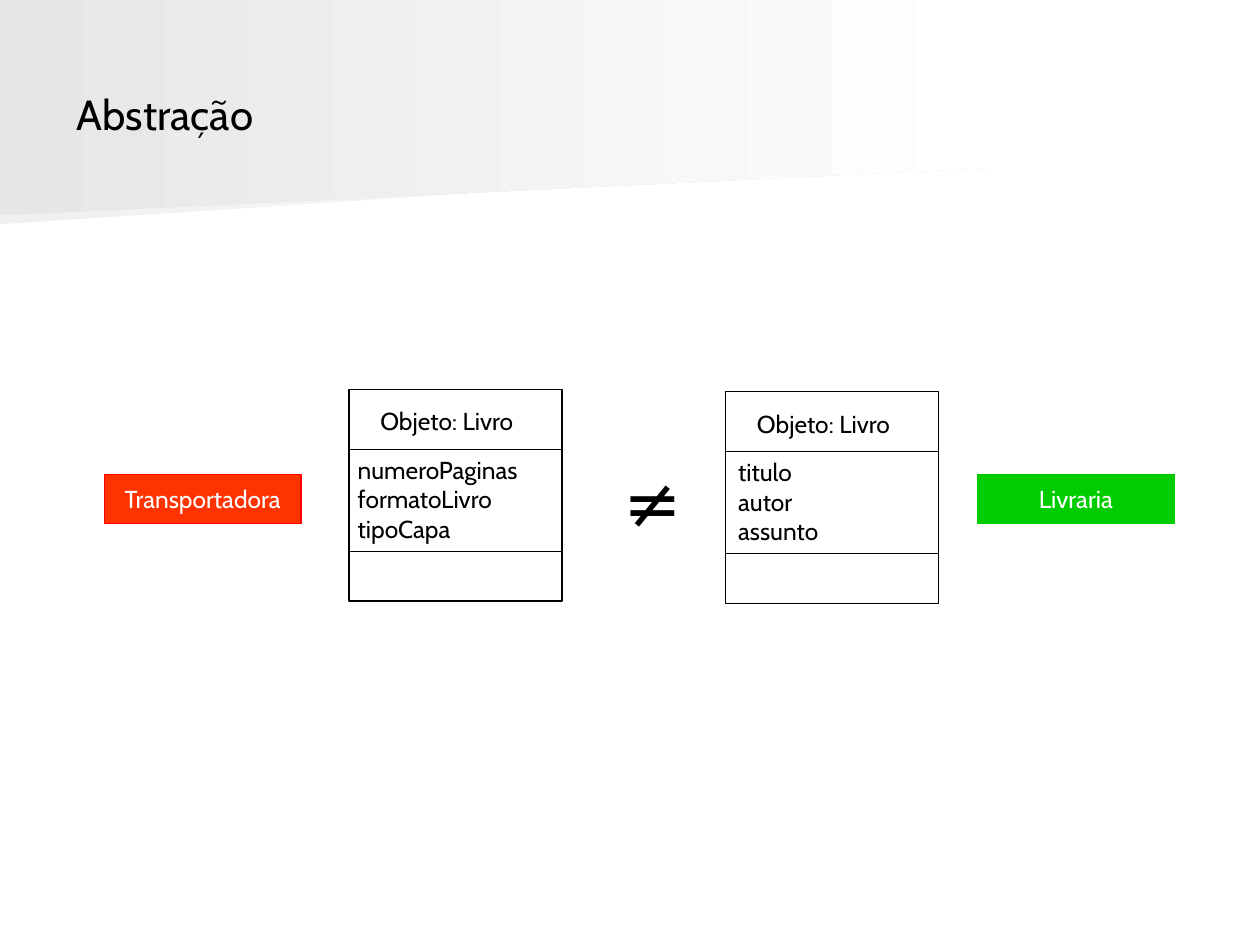
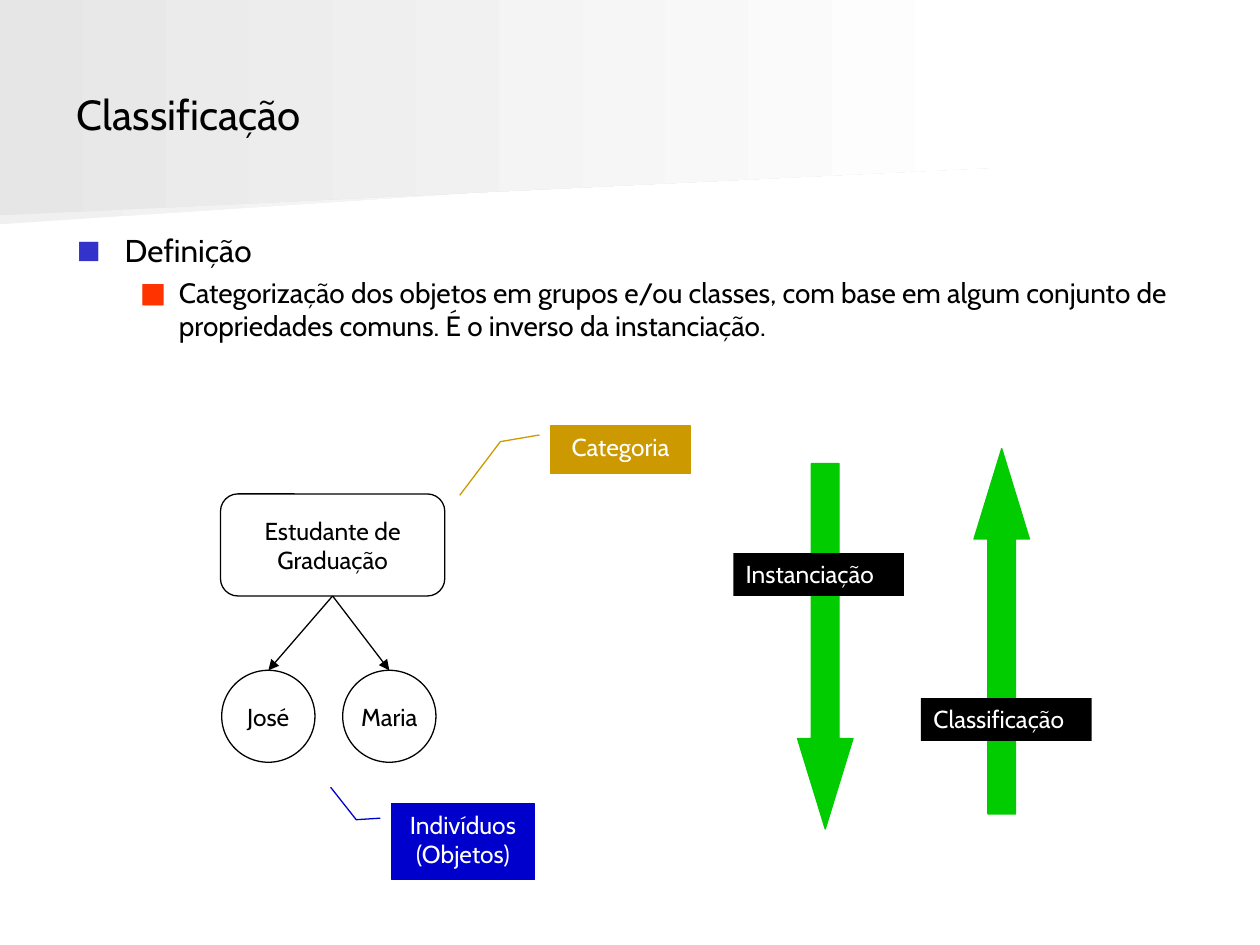
from dataclasses import dataclass

from lxml.etree import SubElement
from pptx import Presentation
from pptx.dml.color import RGBColor
from pptx.enum.shapes import MSO_CONNECTOR, MSO_SHAPE as SHAPE
from pptx.enum.text import MSO_ANCHOR as ANCHOR, MSO_AUTO_SIZE as AUTOSIZE, PP_ALIGN as ALIGN
from pptx.oxml.ns import qn
from pptx.util import Inches, Pt

FONT = "Cabin"
COLORS = {
    "black": "000000", "white": "FFFFFF", "red": "FF3300", "red_line": "FF0000",
    "green": "00CC00", "gold": "CC9900", "blue": "0000CC", "bullet": "3333CC",
    "band_back": "F0F0F0", "band_front": "E6E6E6",
}
# Grid of 100 columns by 75 rows of square cells
COLUMNS, ROWS = 100, 75
CELL = Inches(0.1)
LINE = Pt(0.75)


@dataclass
class Band:
    color: str
    points: list[tuple[float, float]]


@dataclass
class ClassBox:
    left: float
    top: float
    attributes: list[str]
    attr_shift: float
    attr_width: float


@dataclass
class Block:
    """A filled or outlined preset shape, placed in grid cells."""
    kind: SHAPE
    box: tuple[float, float, float, float]
    lines: tuple[str, ...] = ()
    fill: str | None = None
    line: str | None = "black"
    color: str = "white"
    align: ALIGN = ALIGN.CENTER
    anchor: ANCHOR = ANCHOR.MIDDLE
    wrap: bool = False
    adjust: tuple[float, ...] = ()
    rotation: float = 0


@dataclass
class Bullet:
    text: str
    level: int
    size: float
    color: str
    scale: int
    left: float
    hang: float
    before: float


BANDS = [
    Band("band_back", [(77.8, 12.6), (0, 17.8), (0, 8.3), (77.9, 8.3), (77.8, 10.5)]),
    Band("band_front", [(79.2, 13.3), (0, 17.1), (0, 0), (79.2, 0)]),
]


def rgb(name: str) -> RGBColor:
    return RGBColor.from_string(COLORS[name])


def cells(*values: float) -> list[int]:
    return [round(v * CELL) for v in values]


def write(tf, lines, size=14, color="black", align=ALIGN.LEFT,
          anchor=ANCHOR.TOP, wrap=False, auto=AUTOSIZE.NONE) -> None:
    tf.word_wrap, tf.auto_size, tf.vertical_anchor = wrap, auto, anchor
    for i, line in enumerate(lines):
        p = tf.add_paragraph() if i else tf.paragraphs[0]
        p.alignment = align
        r = p.add_run()
        r.text = line
        r.font.name, r.font.size = FONT, Pt(size)
        r.font.color.rgb = rgb(color)


def add_label(slide, box, lines, **fmt) -> None:
    sp = slide.shapes.add_textbox(*cells(*box))
    write(sp.text_frame, lines, auto=AUTOSIZE.SHAPE_TO_FIT_TEXT, **fmt)


def add_block(slide, b: Block):
    sp = slide.shapes.add_shape(b.kind, *cells(*b.box))
    sp.shadow.inherit = False
    sp.rotation = b.rotation
    for i, value in enumerate(b.adjust):
        sp.adjustments[i] = value
    if b.fill:
        sp.fill.solid()
        sp.fill.fore_color.rgb = rgb(b.fill)
    else:
        sp.fill.background()
    if b.line:
        sp.line.color.rgb = rgb(b.line)
        sp.line.width = LINE
    else:
        sp.line.fill.background()
    write(sp.text_frame, b.lines, color=b.color, align=b.align, anchor=b.anchor, wrap=b.wrap)
    return sp


def add_line(slide, start=(0, 0), end=(0, 0), arrow=False):
    cx = slide.shapes.add_connector(MSO_CONNECTOR.STRAIGHT, *cells(*start, *end))
    cx.line.color.rgb = rgb("black")
    cx.line.width = LINE
    if arrow:
        SubElement(cx.line._get_or_add_ln(), qn("a:tailEnd"), type="triangle")
    SubElement(cx.element.spPr, qn("a:effectLst"))
    return cx


def add_class_box(slide, c: ClassBox) -> None:
    width, height = 16.9, 16.8
    add_block(slide, Block(SHAPE.RECTANGLE, (c.left, c.top, width, height)))
    for row in (4.75, 12.85):
        add_line(slide, (c.left, c.top + row), (c.left + width, c.top + row))
    add_label(slide, (c.left + 1.5, c.top + 0.85, 13.7, 3.4), ["Objeto: Livro"])
    add_label(slide, (c.left + c.attr_shift, c.top + 4.7, c.attr_width, 8), c.attributes)


def add_bullets(sp, bullets: list[Bullet]) -> None:
    tf = sp.text_frame
    write(tf, [b.text for b in bullets], wrap=True)
    for p, b in zip(tf.paragraphs, bullets):
        pPr = p._p.get_or_add_pPr()
        pPr.set("marL", str(Inches(b.left)))
        pPr.set("indent", str(-Inches(b.hang)))
        SubElement(SubElement(pPr, qn("a:buClr")), qn("a:srgbClr"), val=COLORS[b.color])
        SubElement(pPr, qn("a:buSzPct"), val=str(b.scale * 1000))
        SubElement(pPr, qn("a:buFont"), typeface=FONT)
        SubElement(pPr, qn("a:buChar"), char="■")
        p.level, p.space_before = b.level, Pt(b.before)
        p.runs[0].font.size = Pt(b.size)


def add_slide(prs, layout: int, title: str):
    slide = prs.slides.add_slide(prs.slide_layouts[layout])
    sp = slide.shapes.title
    sp.left, sp.top, sp.width, sp.height = cells(5.1, 2.8, 90, 12.5)
    write(sp.text_frame, [title], size=24, anchor=ANCHOR.MIDDLE, wrap=True)
    return slide


def move_bands_to_master(prs, slide) -> None:
    """Draw the header bands and hand them to the master, behind its placeholders."""
    for i, band in enumerate(BANDS):
        first, *rest = [cells(*point) for point in band.points]
        builder = slide.shapes.build_freeform(*first)
        builder.add_line_segments(rest, close=True)
        sp = builder.convert_to_shape()
        sp.shadow.inherit = False
        sp.line.fill.background()
        sp.fill.gradient()
        sp.fill.gradient_angle = 0
        for stop, color in zip(sp.fill.gradient_stops, (band.color, "white")):
            stop.color.rgb = rgb(color)
        sp.element.nvSpPr.cNvPr.set("id", str(100 + i))
        prs.slide_master.shapes.element.insert(2 + i, sp.element)


def build_abstraction(prs) -> None:
    slide = add_slide(prs, 5, "Abstração")
    move_bands_to_master(prs, slide)

    # Two views of the same object
    add_class_box(slide, ClassBox(27.7, 30.9, ["numeroPaginas", "formatoLivro", "tipoCapa"], -0.3, 16.5))
    add_class_box(slide, ClassBox(57.6, 31.1, ["titulo", "autor", "assunto"], 0, 9.2))
    add_label(slide, (48.5, 35.9, 5.1, 7.7), ["≠"], size=40)

    # Owners of each view
    for left, name, fill, line in ((8.3, "Transportadora", "red", "red_line"),
                                   (77.6, "Livraria", "green", "green")):
        add_block(slide, Block(SHAPE.RECTANGLE, (left, 37.65, 15.6, 3.9), (name,), fill, line))


def build_classification(prs) -> None:
    slide = add_slide(prs, 1, "Classificação")
    body = slide.placeholders[1]
    body.left, body.top, body.width, body.height = cells(5.1, 17.8, 90, 12.3)
    add_bullets(body, [
        Bullet("Definição", 0, 18, "bullet", 80, 0.38, 0.38, 0),
        Bullet("Categorização dos objetos em grupos e/ou classes, com base em algum conjunto "
               "de propriedades comuns. É o inverso da instanciação.",
               1, 16, "red", 100, 0.81, 0.31, 4),
    ])

    # Category and its individuals
    category = add_block(slide, Block(SHAPE.ROUNDED_RECTANGLE, (17.5, 39.2, 17.8, 8.1),
                                      ("Estudante de", "Graduação"), color="black", adjust=(0.17,)))
    for left, name in ((17.6, "José"), (27.2, "Maria")):
        person = add_block(slide, Block(SHAPE.OVAL, (left, 53.2, 7.4, 7.3), (name,), color="black"))
        link = add_line(slide, arrow=True)
        link.begin_connect(category, 2)
        link.end_connect(person, 0)

    # Callouts
    for box, lines, color, adjust in (
        ((43.7, 33.8, 11.1, 3.8), ("Categoria",), "gold", (0.19, -0.08, 0.33, -0.36, 1.45, -0.65)),
        ((31.1, 63.8, 11.3, 6), ("Indivíduos", "(Objetos)"), "blue",
         (0.19, -0.08, 0.21, -0.25, -0.22, -0.43)),
    ):
        add_block(slide, Block(SHAPE.LINE_CALLOUT_2, box, lines, color, color,
                               anchor=ANCHOR.TOP, wrap=True, adjust=adjust))

    # Opposite directions, each with its label
    for left, top, rotation in ((63.3, 36.8, 0), (77.3, 35.6, 180)):
        add_block(slide, Block(SHAPE.DOWN_ARROW, (left, top, 4.4, 29), fill="green", line="green",
                               adjust=(0.5, 1.63), rotation=rotation))
    for left, top, name in ((73.1, 55.4, "Classificação"), (58.2, 43.9, "Instanciação")):
        add_block(slide, Block(SHAPE.RECTANGLE, (left, top, 13.55, 3.4), (name,), "black", None,
                               align=ALIGN.LEFT, anchor=ANCHOR.TOP))


def main() -> None:
    prs = Presentation()
    prs.slide_width, prs.slide_height = COLUMNS * CELL, ROWS * CELL
    build_abstraction(prs)
    build_classification(prs)
    prs.save("out.pptx")


if __name__ == "__main__":
    main()
